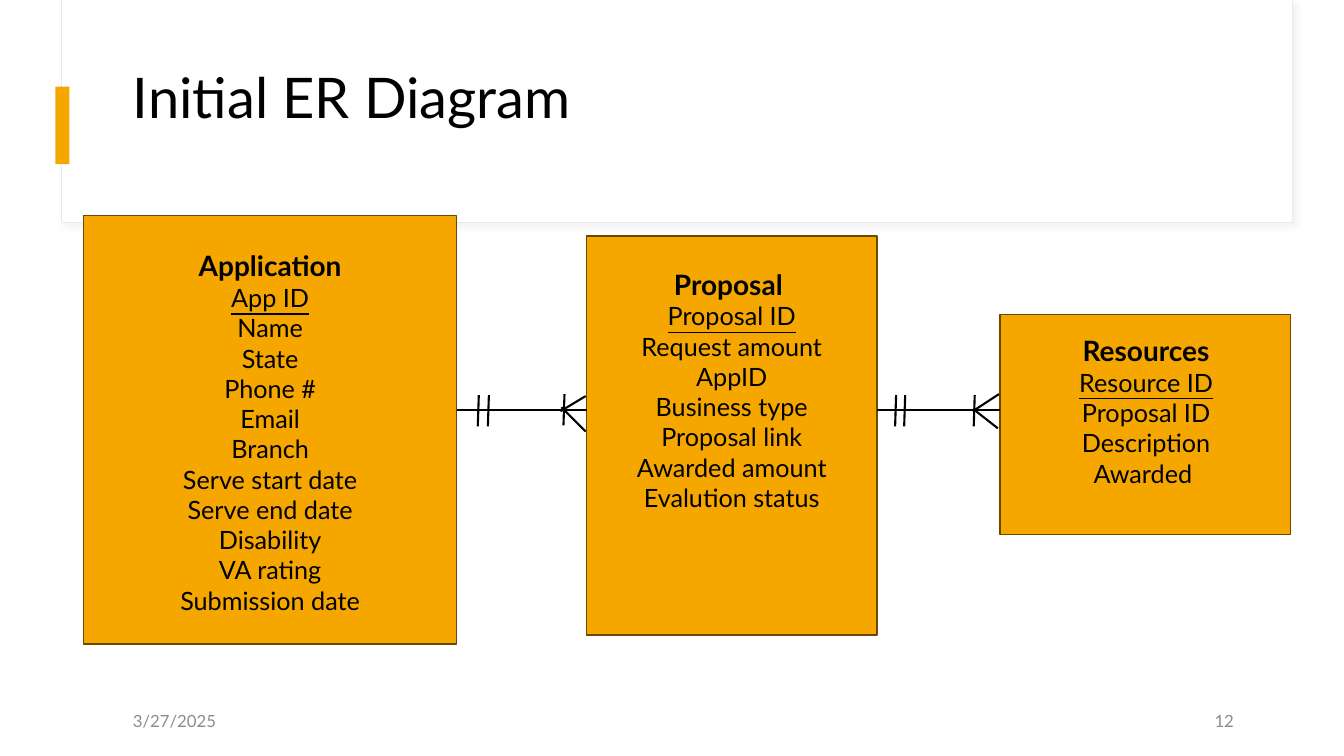
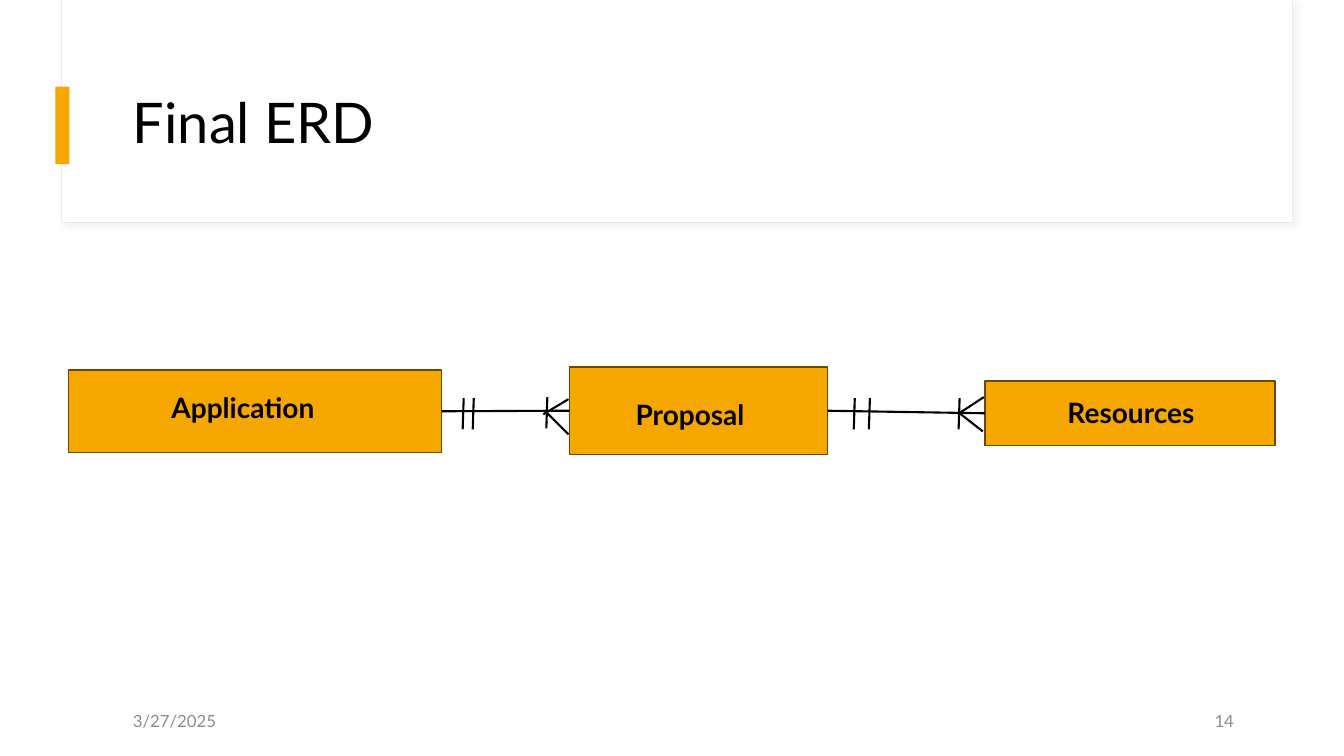
from dataclasses import dataclass
from typing import Any, NamedTuple

from lxml import etree
from pptx import Presentation
from pptx import util as u
from pptx.dml.color import RGBColor
from pptx.enum import shapes, text
from pptx.oxml.ns import qn


@dataclass(frozen=True)
class Theme:
    font: str = "Lato"
    paper: str = "FFFFFF"
    ink: str = "000000"
    accent: str = "F5A700"
    entity_line: str = "6B4900"
    header_line: str = "E9E9E9"
    header_shadow: str = "D9D9D9"
    muted: str = "8C8C8C"
    title_size: int = 40
    entity_size: int = 20
    field_size: int = 18
    footer_size: int = 12
    line_width: float = 1.5


class Area(NamedTuple):
    column: float
    row: float
    columns: float
    rows: float

    @property
    def right(self) -> float:
        return self.column + self.columns

    @property
    def middle(self) -> float:
        return self.row + self.rows / 2


class Stroke(NamedTuple):
    x1: float
    y1: float
    x2: float
    y2: float


class Line(NamedTuple):
    words: str
    size: float
    bold: bool = False
    underline: bool = False
    color: str = "000000"


@dataclass(frozen=True)
class Entity:
    name: str
    box: Area
    label: Area
    key: str = ""
    fields: tuple[str, ...] = ()


@dataclass(frozen=True)
class Relation:
    source: int
    target: int
    ticks: tuple[float, ...]
    foot: tuple[Stroke, ...]


@dataclass(frozen=True)
class Diagram:
    title: str
    title_area: Area
    title_format: dict[str, Any]
    title_spacing: float
    number: str
    axis: float
    entities: tuple[Entity, ...]
    relations: tuple[Relation, ...]


THEME = Theme()
CELL = 0.1
GRID = (133.33, 75)
JOIN_TOLERANCE = 0.3
LEFT_SIDE, RIGHT_SIDE = 1, 3
MIDDLE = {"vertical_anchor": text.MSO_ANCHOR.MIDDLE}
TOP = {"vertical_anchor": text.MSO_ANCHOR.TOP}
HEADER = Area(6.1, 0, 122.1, 22.1)
HEADER_FACE = Area(6.2, 0, 122, 22)
MARKER = Area(5.5, 8.6, 1.4, 7.7)
DATE = Area(12.2, 69.5, 30, 4)
NUMBER = Area(93.4, 69.5, 30, 4)

STEEP_FOOT = (
    Stroke(-2.2, -1.6, -2.3, 1.5),
    Stroke(-0.1, -1.4, -2.6, 0.1),
    Stroke(-2.5, -0.3, -0.1, 2.1),
)
WIDE_FOOT = (
    Stroke(-2.5, -1.5, -2.6, 1.6),
    Stroke(-0.1, -1.6, -2.7, 0.1),
    Stroke(-2.5, 0, -0.2, 1.8),
)

DIAGRAMS = (
    Diagram(
        "Initial ER Diagram", Area(12.2, 5.7, 106.2, 7.7), TOP, 1, "12", 40.7,
        (
            Entity("Application", Area(8.3, 21.4, 37, 42.5), Area(10.7, 24.2, 32.2, 40.7), "App ID",
                   ("Name", "State", "Phone #", "Email", "Branch", "Serve start date",
                    "Serve end date", "Disability", "VA rating", "Submission date")),
            Entity("Proposal ", Area(58.2, 23.4, 28.8, 39.6), Area(60.1, 26, 25, 28.6), "Proposal ID",
                   ("Request amount", "AppID", "Business type", "Proposal link",
                    "Awarded amount", "Evalution status")),
            Entity("Resources", Area(99.2, 31.2, 28.8, 21.8), Area(101.2, 32.6, 25, 16.5), "Resource ID",
                   ("Proposal ID", "Description", "Awarded ")),
        ),
        (Relation(0, 1, (2.2, 3.2), STEEP_FOOT), Relation(1, 2, (1.9, 2.8), WIDE_FOOT)),
    ),
    Diagram(
        "Final ERD", Area(12.2, 6, 111.2, 12.9), MIDDLE, 0.9, "14", 41,
        (
            Entity("Application", Area(6.8, 36.7, 37, 8.2), Area(8, 38.3, 32.2, 10.4)),
            Entity("Proposal ", Area(56.5, 36.4, 25.6, 8.7), Area(56.3, 38.9, 25, 7.4)),
            Entity("Resources", Area(97.7, 37.8, 28.8, 6.4), Area(99.7, 38.7, 25, 4.4)),
        ),
        (Relation(0, 1, (2.2, 3.2), STEEP_FOOT), Relation(1, 2, (2.7, 4.2), WIDE_FOOT)),
    ),
)


def cells(value: float) -> int:
    return u.Inches(value * CELL)


def apply(target: Any, formats: dict[str, Any]) -> None:
    for name, value in formats.items():
        setattr(target, name, value)


def add_box(slide: Any, area: Area, fill: str, line: str = "", width: float = 1) -> Any:
    shape = slide.shapes.add_shape(shapes.MSO_SHAPE.RECTANGLE, *map(cells, area))
    shape.shadow.inherit = False
    shape.fill.solid()
    shape.fill.fore_color.rgb = RGBColor.from_string(fill)
    if line:
        shape.line.color.rgb = RGBColor.from_string(line)
        shape.line.width = u.Pt(width)
    else:
        shape.line.fill.background()
    return shape


def add_text(slide: Any, area: Area, lines: list[Line], frame_format: dict[str, Any],
             paragraph_format: dict[str, Any]) -> None:
    frame = slide.shapes.add_textbox(*map(cells, area)).text_frame
    apply(frame, {"word_wrap": True, **frame_format})
    for index, line in enumerate(lines):
        paragraph = frame.add_paragraph() if index else frame.paragraphs[0]
        apply(paragraph, paragraph_format)
        run = paragraph.add_run()
        run.text = line.words
        apply(run.font, {"name": THEME.font, "size": u.Pt(line.size),
                         "bold": line.bold, "underline": line.underline})
        run.font.color.rgb = RGBColor.from_string(line.color)


def add_line(slide: Any, stroke: Stroke) -> Any:
    connector = slide.shapes.add_connector(shapes.MSO_CONNECTOR.STRAIGHT, *map(cells, stroke))
    connector.line.color.rgb = RGBColor.from_string(THEME.ink)
    connector.line.width = u.Pt(THEME.line_width)
    etree.SubElement(connector._element.spPr, qn("a:effectLst"))
    return connector


def add_soft_shadow(shape: Any) -> None:
    effects = shape._element.spPr.find(qn("a:effectLst"))
    shadow = etree.SubElement(effects, qn("a:outerShdw"), blurRad=str(u.Pt(4)),
                              dist=str(u.Pt(3)), dir="2700000", algn="tl", rotWithShape="0")
    color = etree.SubElement(shadow, qn("a:srgbClr"), val=THEME.header_shadow)
    etree.SubElement(color, qn("a:alpha"), val="30000")


def add_frame(slide: Any, diagram: Diagram) -> None:
    add_soft_shadow(add_box(slide, HEADER, THEME.paper, THEME.header_line, 0.75))
    add_box(slide, HEADER_FACE, THEME.paper)
    add_box(slide, MARKER, THEME.accent)
    add_text(slide, diagram.title_area, [Line(diagram.title, THEME.title_size)],
             diagram.title_format, {"line_spacing": diagram.title_spacing})
    for area, words, alignment in (
        (DATE, "3/27/2025", text.PP_ALIGN.LEFT),
        (NUMBER, diagram.number, text.PP_ALIGN.RIGHT),
    ):
        add_text(slide, area, [Line(words, THEME.footer_size, color=THEME.muted)],
                 MIDDLE, {"alignment": alignment})


def add_entity(slide: Any, entity: Entity) -> Any:
    box = add_box(slide, entity.box, THEME.accent, THEME.entity_line)
    lines = [Line(entity.name, THEME.entity_size, bold=True)]
    if entity.key:
        lines.append(Line(entity.key, THEME.field_size, underline=True))
    lines += [Line(field, THEME.field_size) for field in entity.fields]
    add_text(slide, entity.label, lines, TOP, {"alignment": text.PP_ALIGN.CENTER})
    return box


def add_relation(slide: Any, diagram: Diagram, relation: Relation, boxes: list[Any]) -> None:
    source = diagram.entities[relation.source].box
    target = diagram.entities[relation.target].box
    axis = diagram.axis
    connector = add_line(slide, Stroke(source.right, axis, target.column, axis))
    if abs(source.middle - axis) < JOIN_TOLERANCE:
        connector.begin_connect(boxes[relation.source], RIGHT_SIDE)
    if abs(target.middle - axis) < JOIN_TOLERANCE:
        connector.end_connect(boxes[relation.target], LEFT_SIDE)
    for tick in relation.ticks:
        x = source.right + tick
        add_line(slide, Stroke(x, axis - 1.5, x - 0.1, axis + 1.6))
    for stroke in relation.foot:
        add_line(slide, Stroke(target.column + stroke.x1, axis + stroke.y1,
                               target.column + stroke.x2, axis + stroke.y2))


def main() -> None:
    presentation = Presentation()
    presentation.slide_width, presentation.slide_height = map(cells, GRID)
    blank = presentation.slide_layouts[6]
    for diagram in DIAGRAMS:
        slide = presentation.slides.add_slide(blank)
        add_frame(slide, diagram)
        boxes = [add_entity(slide, entity) for entity in diagram.entities]
        for relation in diagram.relations:
            add_relation(slide, diagram, relation, boxes)
    presentation.save("out.pptx")


if __name__ == "__main__":
    main()
